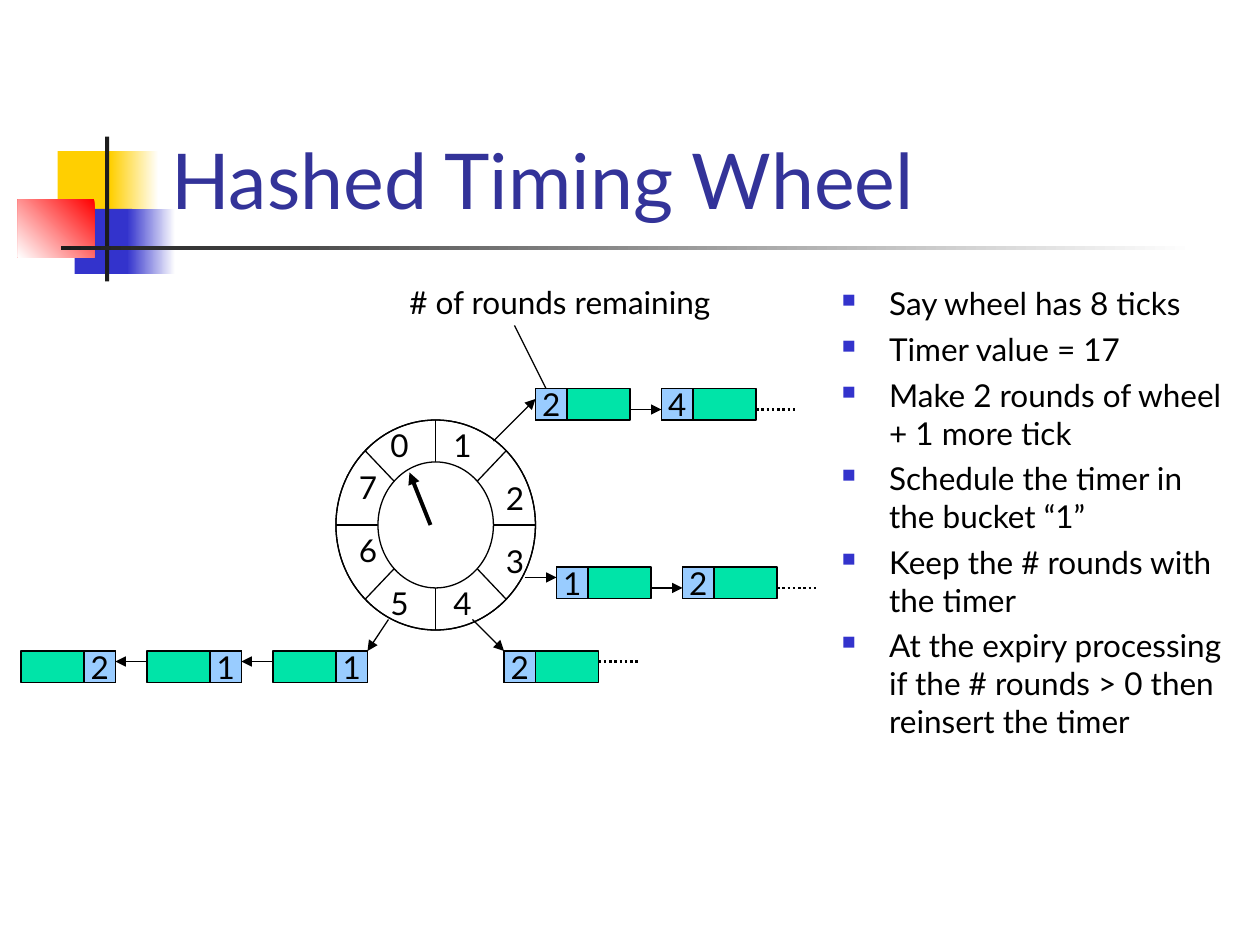
import pptx
import pptx.dml.color
import pptx.enum.dml
import pptx.enum.shapes
import pptx.enum.text
import pptx.oxml.ns
import pptx.util
from lxml import etree

RGBColor = pptx.dml.color.RGBColor
SHAPE = pptx.enum.shapes.MSO_SHAPE
ANCHOR = pptx.enum.text.MSO_ANCHOR
ALIGN = pptx.enum.text.PP_ALIGN
AUTO_SIZE = pptx.enum.text.MSO_AUTO_SIZE
qn = pptx.oxml.ns.qn

PX = 7620  # EMU; 120 px to the inch
FONT = "Lato"
BLACK = RGBColor(0x00, 0x00, 0x00)
WHITE = RGBColor(0xFF, 0xFF, 0xFF)
YELLOW = RGBColor(0xFF, 0xCF, 0x01)
BLUE = RGBColor(0x33, 0x33, 0xCC)
RED = RGBColor(0xFF, 0x00, 0x00)
CHARCOAL = RGBColor(0x1C, 0x1C, 0x1C)
TITLE_BLUE = RGBColor(0x33, 0x33, 0x99)
GREEN = RGBColor(0x00, 0xE4, 0xA8)
LIGHT_BLUE = RGBColor(0x99, 0xCC, 0xFF)

NODE_WIDTH, NODE_HEIGHT, KEY_WIDTH, LINK = 90, 30, 30, 30
BULLETS = [
    "Say wheel has 8 ticks",
    "Timer value = 17",
    "Make 2 rounds of wheel + 1 more tick",
    "Schedule the timer in the bucket “1”",
    "Keep the # rounds with the timer",
    "At the expiry processing if the # rounds > 0 then reinsert the timer",
]


def emu(*lengths):
    return [length * PX for length in lengths]


def style_text(paragraph, size=18, color=BLACK):
    paragraph.font.name = FONT
    paragraph.font.size = pptx.util.Pt(size)
    paragraph.font.color.rgb = color


def add_shape(slide, preset, box, fill=None, outlined=True):
    shape = slide.shapes.add_shape(preset, *emu(*box))
    shape.shadow.inherit = False
    if fill is None:
        shape.fill.background()
    else:
        shape.fill.solid()
        shape.fill.fore_color.rgb = fill
    if outlined:
        shape.line.color.rgb = BLACK
        shape.line.width = pptx.util.Pt(0.75)
    else:
        shape.line.fill.background()
    return shape


def add_fade(slide, box, start, end, angle):
    """Add a rectangle with a two-colour gradient; angle is counter-clockwise."""
    shape = add_shape(slide, SHAPE.RECTANGLE, box, outlined=False)
    shape.fill.gradient()
    shape.fill.gradient_angle = angle
    for stop, color, position in zip(shape.fill.gradient_stops, (start, end), (0, 1)):
        stop.color.rgb = color
        stop.position = position


def add_line(slide, start, end, width=0.75, arrow=False, dash=None):
    line = slide.shapes.add_connector(
        pptx.enum.shapes.MSO_CONNECTOR.STRAIGHT, *emu(*start, *end))
    line.line.color.rgb = BLACK
    line.line.width = pptx.util.Pt(width)
    if dash is not None:
        line.line.dash_style = dash
    properties = line._element.spPr
    if arrow:
        etree.SubElement(properties.find(qn("a:ln")), qn("a:tailEnd"), type="triangle")
    etree.SubElement(properties, qn("a:effectLst"))


def add_label(slide, box, text):
    label = slide.shapes.add_textbox(*emu(*box))
    label.text_frame.word_wrap = False
    label.text_frame.text = text
    style_text(label.text_frame.paragraphs[0])


def add_ornament(slide, left, top):
    """Draw the coloured blocks and crossing bars beside the title."""
    for x, y, width, height, color in [(38, 14, 58, 62, YELLOW), (54, 69, 55, 62, BLUE)]:
        add_shape(slide, SHAPE.RECTANGLE, (left + x, top + y, width, height),
                  color, outlined=False)
        add_fade(slide, (left + x + 50, top + y, 46, height), WHITE, color, 180)
    add_fade(slide, (left, top + 60, 73, 55), RED, WHITE, 225)
    add_shape(slide, SHAPE.RECTANGLE, (left + 83, top, 4, 138), CHARCOAL, outlined=False)
    add_fade(slide, (left + 41, top + 104, 1080, 4), WHITE, CHARCOAL, 180)


def add_title(slide, box, text):
    title = slide.shapes.title
    title.left, title.top, title.width, title.height = emu(*box)
    frame = title.text_frame
    frame.text = text
    frame.auto_size = AUTO_SIZE.NONE
    frame.vertical_anchor = ANCHOR.BOTTOM
    frame.paragraphs[0].alignment = ALIGN.LEFT
    style_text(frame.paragraphs[0], 44, TITLE_BLUE)


def add_wheel(slide, box):
    left, top, width, height = box
    add_shape(slide, SHAPE.FLOWCHART_SUMMING_JUNCTION, box)
    add_shape(slide, SHAPE.FLOWCHART_OR, box)
    add_shape(slide, SHAPE.OVAL, (left + 40, top + 40, width - 80, height - 80), WHITE)
    add_line(slide, (left + 90, top + 100), (left + 70, top + 50), 2.25, arrow=True)
    tick_places = [(40, 0), (100, 0), (150, 50), (150, 110),
                   (100, 150), (40, 150), (10, 100), (10, 40)]
    for tick, (x, y) in enumerate(tick_places):
        add_label(slide, (left + x, top + y, 40, 48), str(tick))


def add_chain(slide, left, top, rounds, link_y, leftward=False):
    """Draw linked timers from the wheel outwards; left is the first timer's left."""
    step = -1 if leftward else 1
    for index, count in enumerate(rounds):
        x = left + step * index * (NODE_WIDTH + LINK)
        key_x = x + NODE_WIDTH - KEY_WIDTH if leftward else x
        add_shape(slide, SHAPE.RECTANGLE, (x, top, NODE_WIDTH, NODE_HEIGHT), GREEN)
        key = add_shape(slide, SHAPE.RECTANGLE,
                        (key_x, top, KEY_WIDTH, NODE_HEIGHT), LIGHT_BLUE)
        frame = key.text_frame
        frame.word_wrap = False
        frame.vertical_anchor = ANCHOR.MIDDLE
        frame.text = str(count)
        frame.paragraphs[0].alignment = ALIGN.CENTER
        style_text(frame.paragraphs[0])

        link_x = x if leftward else x + NODE_WIDTH
        link_start = (link_x, top + link_y)
        if index < len(rounds) - 1:
            add_line(slide, link_start, (link_x + step * LINK, top + link_y), arrow=True)
        elif not leftward:
            add_line(slide, link_start, (link_x + 40, top + link_y), 1.5,
                     dash=pptx.enum.dml.MSO_LINE.ROUND_DOT)


def add_bullets(slide, box, texts):
    frame = slide.shapes.add_textbox(*emu(*box)).text_frame
    frame.word_wrap = True
    for index, text in enumerate(texts):
        paragraph = frame.paragraphs[0] if index == 0 else frame.add_paragraph()
        paragraph.text = text
        properties = paragraph._p.get_or_add_pPr()
        properties.set("marL", str(45 * PX))
        properties.set("indent", str(-45 * PX))
        color = etree.SubElement(properties, qn("a:buClr"))
        etree.SubElement(color, qn("a:srgbClr"), val=str(BLUE))
        etree.SubElement(properties, qn("a:buSzPct"), val="60000")
        etree.SubElement(properties, qn("a:buChar"), char="■")
        if index:
            paragraph.space_before = pptx.util.Pt(4.5)
        style_text(paragraph)


def main():
    presentation = pptx.Presentation()
    presentation.slide_width, presentation.slide_height = emu(1200, 900)
    slide = presentation.slides.add_slide(presentation.slide_layouts[5])

    add_ornament(slide, 17, 130)
    add_title(slide, (151, 28, 1022, 192), "Hashed Timing Wheel")
    add_wheel(slide, (320, 400, 190, 200))

    add_chain(slide, 510, 370, [2, 4], 20)
    add_chain(slide, 530, 540, [1, 2], 20)
    add_chain(slide, 480, 620, [2], 10)
    add_chain(slide, 260, 620, [1, 1, 2], 10, leftward=True)
    for start, end in [((470, 420), (510, 380)), ((500, 550), (530, 550)),
                       ((450, 590), (480, 620)), ((370, 590), (350, 620))]:
        add_line(slide, start, end, arrow=True)

    add_line(slide, (520, 370), (490, 310))
    add_label(slide, (378, 264, 341, 48), "# of rounds remaining")
    add_bullets(slide, (790, 265, 385, 540), BULLETS)
    presentation.save("out.pptx")


if __name__ == "__main__":
    main()
